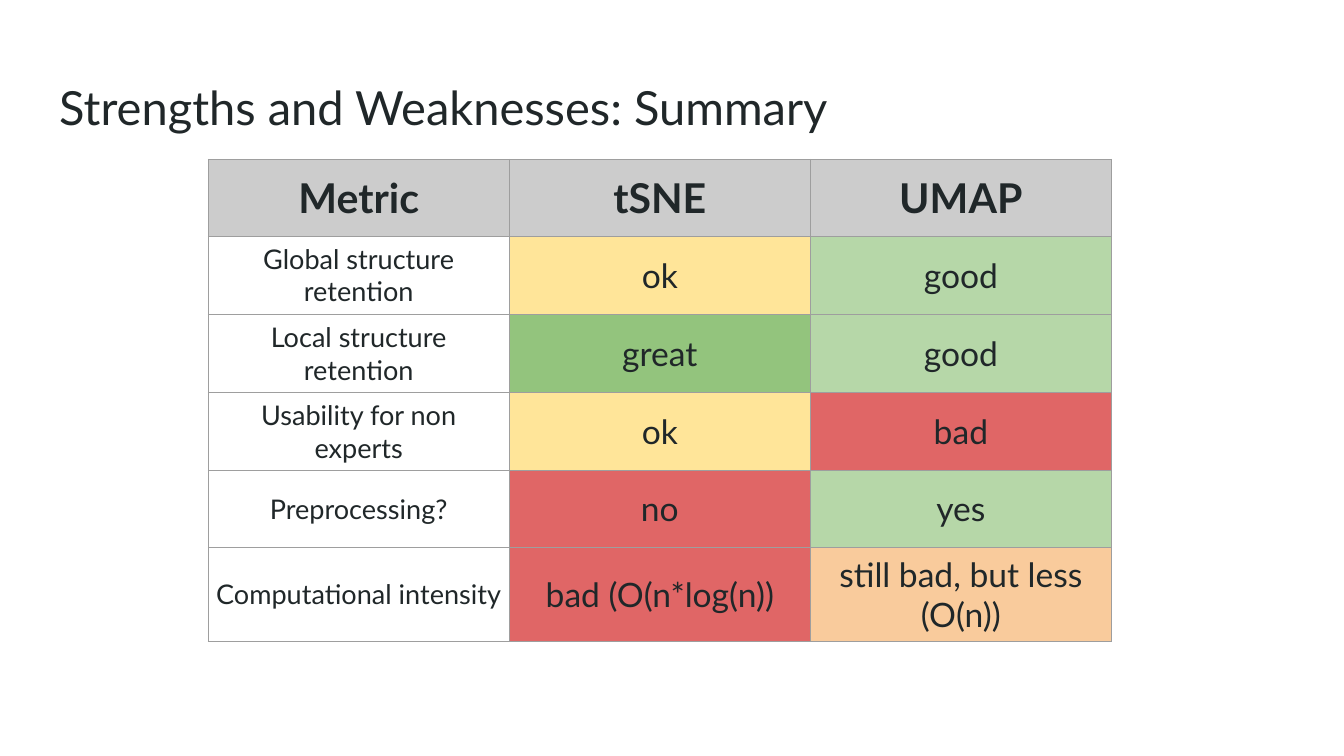
from lxml import etree
from pptx import Presentation
from pptx.dml.color import RGBColor
from pptx.enum.text import MSO_ANCHOR, PP_ALIGN
from pptx.oxml.ns import qn
from pptx.util import Cm, Pt

MIDDLE, TOP = MSO_ANCHOR.MIDDLE, MSO_ANCHOR.TOP
LEFT, CENTER = PP_ALIGN.LEFT, PP_ALIGN.CENTER

FONT = "Lato"
COLORS = {
    "text": "202729", "border": "9E9E9E", "head": "CCCCCC",
    "great": "93C47D", "good": "B6D7A8", "ok": "FFE599",
    "poor": "F9CB9C", "bad": "E06666",
}

HEADS = ["Metric", "tSNE", "UMAP"]
# Metric, then a (text, rating) pair for each method
ROWS = [
    ("Global structure retention", ("ok", "ok"), ("good", "good")),
    ("Local structure retention", ("great", "great"), ("good", "good")),
    ("Usability for non experts", ("ok", "ok"), ("bad", "bad")),
    ("Preprocessing?", ("no", "bad"), ("yes", "good")),
    ("Computational intensity", ("bad (O(n*log(n))", "bad"),
     ("still bad, but less (O(n))", "poor")),
]


def add_run(frame, text, size, align, bold=False):
    para = frame.paragraphs[0]
    para.alignment = align
    run = para.add_run()
    run.text = text
    run.font.name = FONT
    run.font.size = Pt(size)
    run.font.bold = bold
    run.font.color.rgb = RGBColor.from_string(COLORS["text"])


def set_edges(cell):
    props = cell._tc.get_or_add_tcPr()
    for side in ("lnL", "lnR", "lnT", "lnB"):
        line = etree.SubElement(props, qn(f"a:{side}"), w=str(Pt(0.75)))
        fill = etree.SubElement(line, qn("a:solidFill"))
        etree.SubElement(fill, qn("a:srgbClr"), val=COLORS["border"])


def fill_cell(cell, text, size, color=None, bold=False):
    cell.vertical_anchor = MIDDLE
    cell.margin_left = cell.margin_right = Cm(0.25)
    cell.margin_top = cell.margin_bottom = Cm(0.25)
    add_run(cell.text_frame, text, size, CENTER, bold)
    set_edges(cell)
    if color:
        cell.fill.solid()
        cell.fill.fore_color.rgb = RGBColor.from_string(COLORS[color])
    else:
        cell.fill.background()


def add_title(slide, left, top, width, height, text):
    box = slide.shapes.add_textbox(Cm(left), Cm(top), Cm(width), Cm(height))
    frame = box.text_frame
    frame.word_wrap = True
    frame.vertical_anchor = TOP
    frame.margin_left = frame.margin_right = Cm(0.51)
    frame.margin_top = frame.margin_bottom = Cm(0.51)
    add_run(frame, text, 50.4, LEFT)


def add_grid(slide, left, top, width, height):
    count = len(ROWS) + 1
    table = slide.shapes.add_table(
        count, len(HEADS), Cm(left), Cm(top), Cm(width), Cm(height)).table
    table.first_row = table.horz_banding = False

    # Equal columns and rows; the last row takes the extra height
    for col in table.columns:
        col.width = Cm(width / len(HEADS))
    for row in table.rows:
        row.height = Cm(2.9)
    table.rows[count - 1].height = Cm(height - 2.9 * (count - 1))

    # Header
    for col, head in enumerate(HEADS):
        fill_cell(table.cell(0, col), head, 44, "head", True)

    # Ratings
    for row, (metric, *marks) in enumerate(ROWS, 1):
        fill_cell(table.cell(row, 0), metric, 29)
        for col, (text, rating) in enumerate(marks, 1):
            fill_cell(table.cell(row, col), text, 36, rating)


def main():
    deck = Presentation()
    deck.slide_width, deck.slide_height = Cm(50.8), Cm(28.58)
    slide = deck.slides.add_slide(deck.slide_layouts[6])
    add_title(slide, 1.73, 2.46, 47.35, 3.18,
              "Strengths and Weaknesses: Summary")
    add_grid(slide, 7.87, 6.02, 34.14, 17.85)
    deck.save("out.pptx")


if __name__ == "__main__":
    main()
